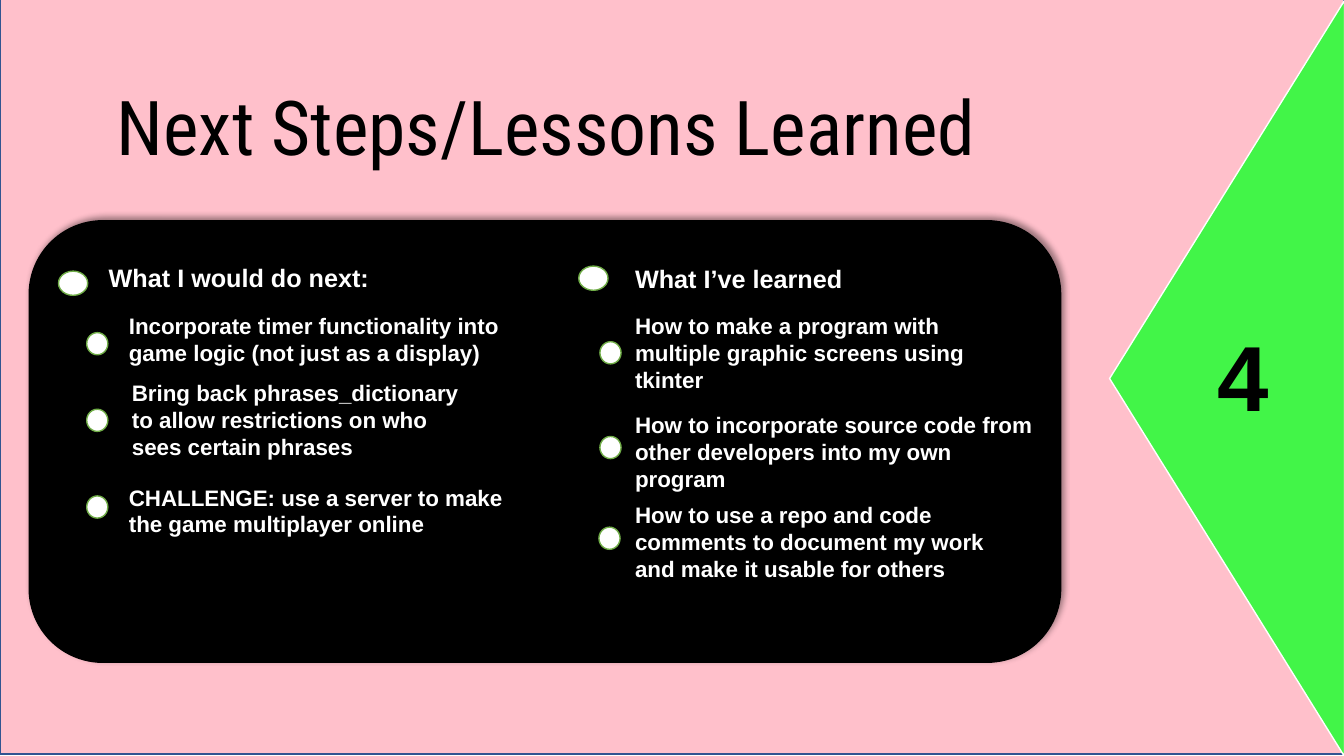
from lxml import etree
from pptx import Presentation
from pptx.dml.color import RGBColor
from pptx.enum.shapes import MSO_SHAPE
from pptx.enum.text import MSO_ANCHOR, MSO_AUTO_SIZE
from pptx.oxml.ns import qn
from pptx.util import Inches, Pt

RECTANGLE = MSO_SHAPE.RECTANGLE
ROUNDED = MSO_SHAPE.ROUNDED_RECTANGLE
TRIANGLE = MSO_SHAPE.ISOSCELES_TRIANGLE
OVAL = MSO_SHAPE.OVAL
TOP, BOTTOM = MSO_ANCHOR.TOP, MSO_ANCHOR.BOTTOM
FIT_TEXT, NO_FIT = MSO_AUTO_SIZE.SHAPE_TO_FIT_TEXT, MSO_AUTO_SIZE.NONE

PINK = RGBColor(0xFF, 0xC0, 0xCB)
BLUE = RGBColor(0x32, 0x54, 0x91)
GREEN = RGBColor(0x42, 0xF5, 0x48)
LEAF = RGBColor(0x70, 0xAD, 0x47)
BLACK = RGBColor(0, 0, 0)
WHITE = RGBColor(0xFF, 0xFF, 0xFF)

# Content: text, (left, top, width, height) of its box, (left, top) of its dot
TITLE = "Next Steps/Lessons Learned"
NUMBER = "4"
HEADINGS = [
    ("What I would do next:", (0.98, 2.55, 5.11, 0.4), (0.58, 2.69)),
    ("What I’ve learned", (6.2, 2.56, 2.28, 0.71), (5.74, 2.64)),
]
POINTS = [
    ("Incorporate timer functionality into game logic (not just as a display)",
     (1.18, 3.05, 4.2, 0.94), (0.86, 3.3)),
    ("Bring back phrases_dictionary to allow restrictions on who sees certain phrases",
     (1.21, 3.71, 3.47, 1.21), (0.86, 4.06)),
    ("CHALLENGE: use a server to make the game multiplayer online",
     (1.18, 4.75, 3.93, 0.94), (0.86, 4.92)),
    ("How to make a program with multiple graphic screens using tkinter",
     (6.2, 3.05, 3.85, 1.21), (5.95, 3.39)),
    ("How to incorporate source code from other developers into my own program",
     (6.2, 4.03, 4.14, 1.21), (5.95, 4.33)),
    ("How to use a repo and code comments to document my work and make it usable for others",
     (6.2, 4.92, 3.98, 1.21), (5.94, 5.23)),
]
# Each level: entries, text size, dot size
LEVELS = [(HEADINGS, 18, (0.29, 0.24)), (POINTS, 16, (0.21, 0.22))]

presentation = Presentation()
presentation.slide_width, presentation.slide_height = Inches(13.33), Inches(7.5)
slide = presentation.slides.add_slide(presentation.slide_layouts[6])


def add_shape(kind, box, fill, line):
    shape = slide.shapes.add_shape(kind, *map(Inches, box))
    shape.shadow.inherit = False
    shape.fill.solid()
    shape.fill.fore_color.rgb = fill
    shape.line.color.rgb = line
    shape.line.width = Pt(1)
    return shape


def add_text(text, box, size, color, font="Arial", bold=True, anchor=TOP, fit=FIT_TEXT):
    frame = slide.shapes.add_textbox(*map(Inches, box)).text_frame
    frame.word_wrap = True
    frame.auto_size = fit
    frame.vertical_anchor = anchor
    paragraph = frame.paragraphs[0]
    run = paragraph.add_run()
    run.text = text
    run.font.name = font
    run.font.size = Pt(size)
    run.font.bold = bold
    run.font.color.rgb = color
    return paragraph


def add_soft_shadow(shape, blur, distance, angle, opacity):
    effects = shape._element.spPr.find(qn("a:effectLst"))
    shadow = etree.SubElement(effects, qn("a:outerShdw"), {
        "blurRad": str(Pt(blur)), "dist": str(Pt(distance)),
        "dir": str(angle * 60000), "algn": "bl", "rotWithShape": "0"})
    color = etree.SubElement(shadow, qn("a:srgbClr"), val=str(BLACK))
    etree.SubElement(color, qn("a:alpha"), val=str(opacity * 1000))


# Background and title
add_shape(RECTANGLE, (0, -0.02, 13.33, 7.5), PINK, BLUE)
title = add_text(TITLE, (1.06, 0, 11.21, 1.75), 54, BLACK, "Roboto Condensed",
                 bold=False, anchor=BOTTOM, fit=NO_FIT)
title.line_spacing = 0.9

# Side arrow, content panel and number
arrow = add_shape(TRIANGLE, (8.42, 2.59, 7.5, 2.33), GREEN, WHITE)
arrow.rotation = 270
arrow.adjustments[0] = 0.5
panel = add_shape(ROUNDED, (0.29, 2.19, 10.23, 4.38), BLACK, BLACK)
add_soft_shadow(panel, blur=4, distance=3, angle=315, opacity=40)
add_text(NUMBER, (11.98, 3.12, 0.81, 1.26), 66, BLACK)

# Headings and points, each with its dot
for entries, text_size, dot_size in LEVELS:
    for text, box, dot_place in entries:
        add_text(text, box, text_size, WHITE)
        add_shape(OVAL, dot_place + dot_size, WHITE, LEAF)

presentation.save("out.pptx")
